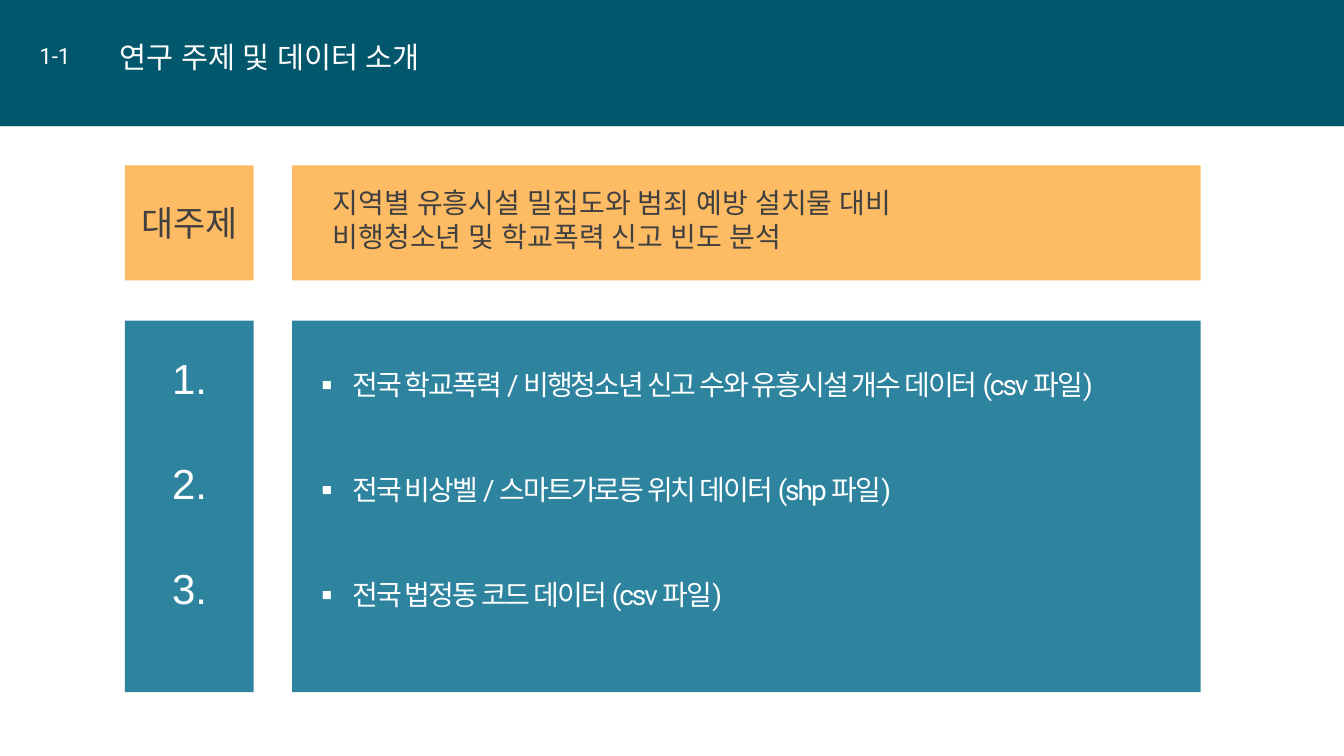
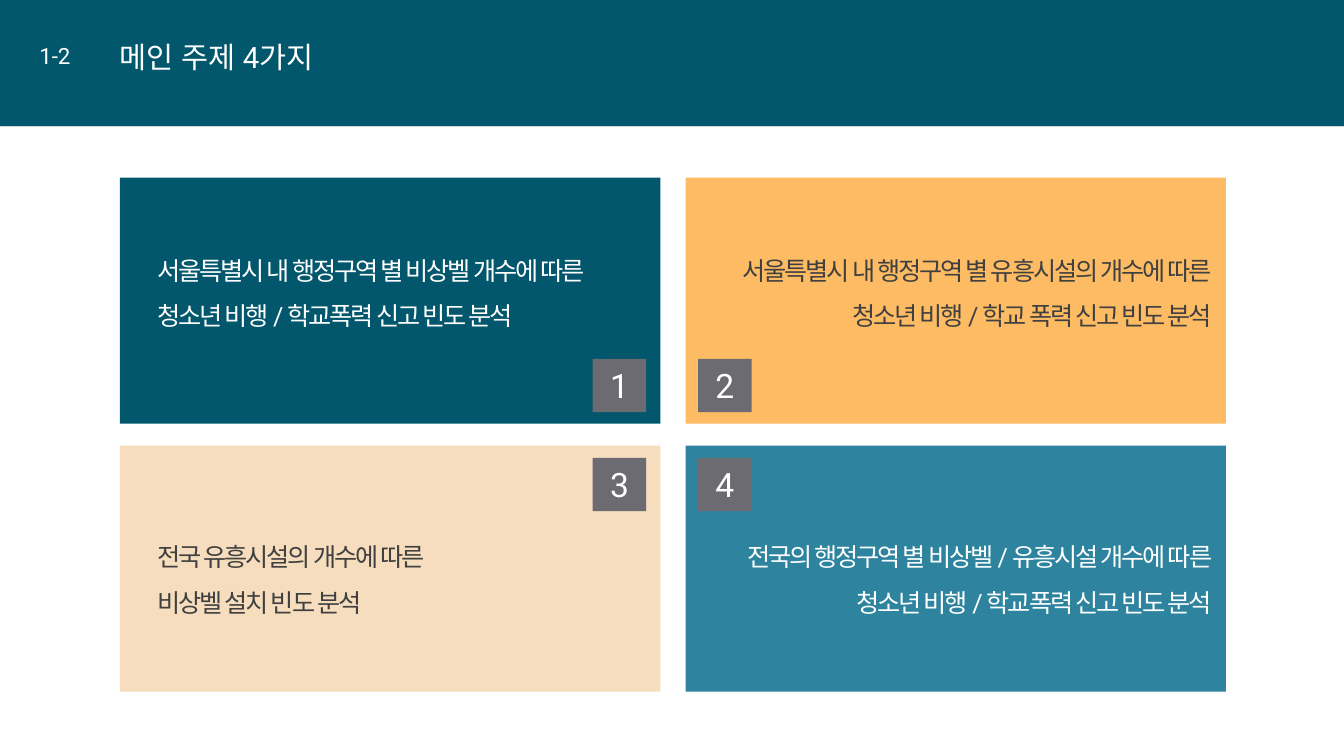
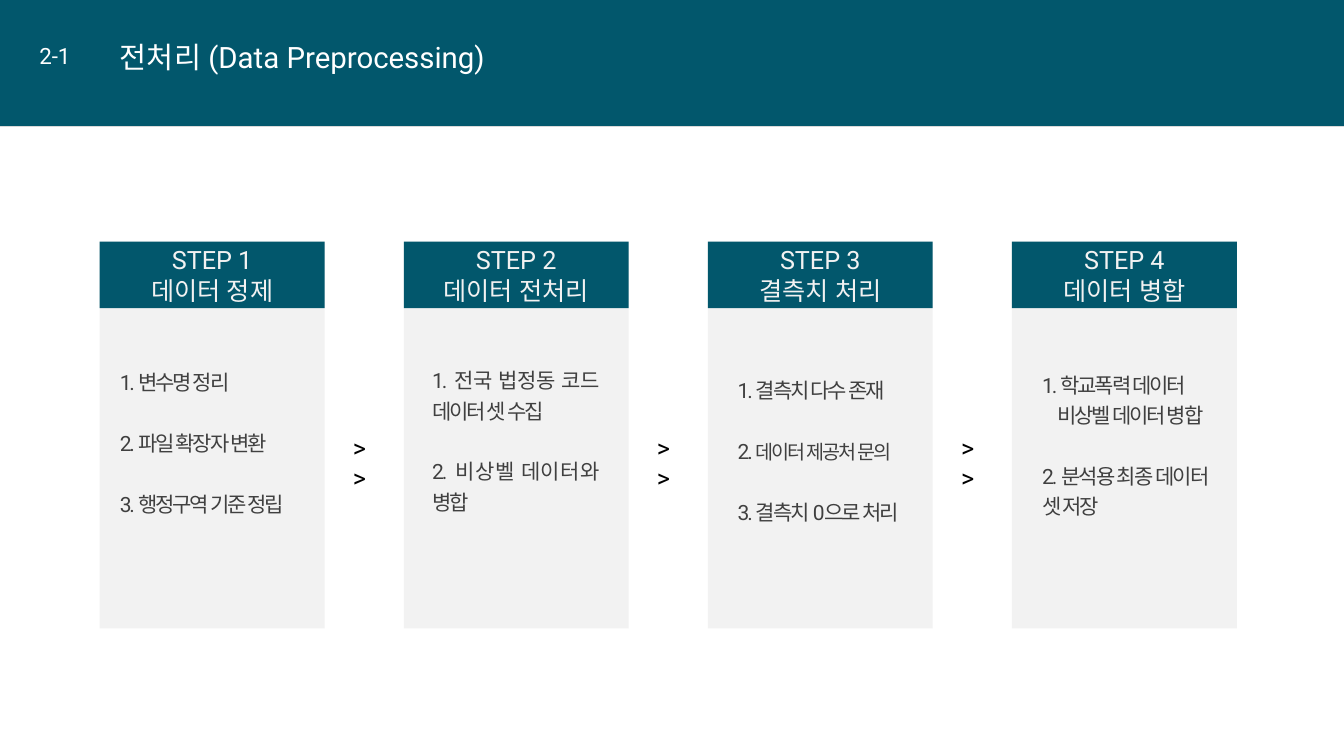
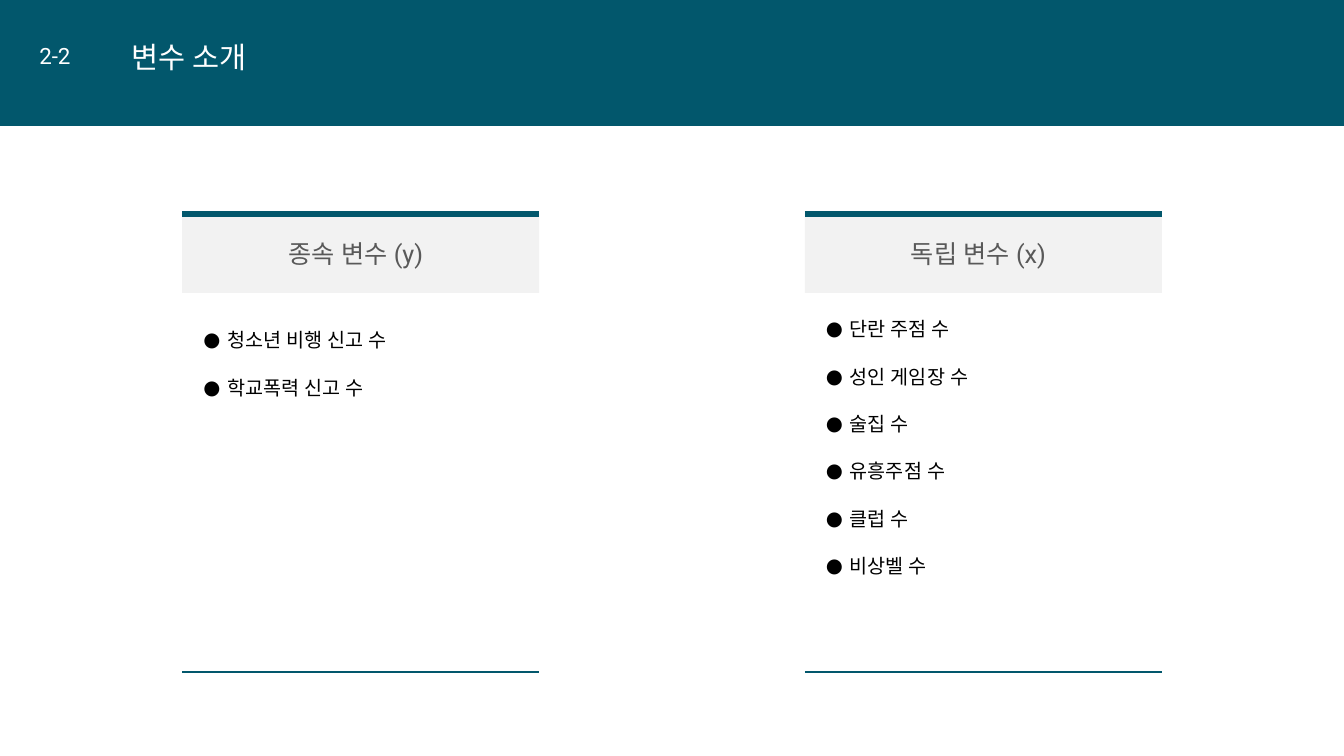
from dataclasses import dataclass

from lxml import etree
from pptx import Presentation
from pptx.dml.color import RGBColor
from pptx.enum.shapes import MSO_CONNECTOR, MSO_SHAPE
from pptx.enum.text import MSO_ANCHOR, MSO_AUTO_SIZE, PP_ALIGN
from pptx.oxml.ns import qn
from pptx.shapes.autoshape import Shape
from pptx.slide import Slide
from pptx.text.text import TextFrame
from pptx.util import Pt

RECTANGLE = MSO_SHAPE.RECTANGLE
STRAIGHT = MSO_CONNECTOR.STRAIGHT
TOP, MIDDLE = MSO_ANCHOR.TOP, MSO_ANCHOR.MIDDLE
NO_AUTOFIT = MSO_AUTO_SIZE.NONE
LEFT, CENTER, RIGHT, JUSTIFY = PP_ALIGN.LEFT, PP_ALIGN.CENTER, PP_ALIGN.RIGHT, PP_ALIGN.JUSTIFY

WHITE = RGBColor(0xFF, 0xFF, 0xFF)
BLACK = RGBColor(0x00, 0x00, 0x00)
DARK_TEAL = RGBColor(0x02, 0x57, 0x6C)
TEAL = RGBColor(0x2E, 0x84, 0x9F)
ORANGE = RGBColor(0xFD, 0xBB, 0x63)
CREAM = RGBColor(0xF5, 0xDD, 0xBD)
BADGE_GRAY = RGBColor(0x6C, 0x6B, 0x71)
PANEL_GRAY = RGBColor(0xF2, 0xF2, 0xF2)
RULE_GRAY = RGBColor(0xD9, 0xD9, 0xD9)
TEXT_GRAY = RGBColor(0x40, 0x40, 0x40)
HEADING_GRAY = RGBColor(0x59, 0x59, 0x59)

SLIDE_WIDTH, SLIDE_HEIGHT = 960, 540
BAND_HEIGHT = 90
TITLE_ONLY = 5


@dataclass(frozen=True)
class Box:
    left: float
    top: float
    width: float
    height: float


@dataclass(frozen=True)
class TextStyle:
    size: float
    color: RGBColor
    align: PP_ALIGN = LEFT
    font: str = "Roboto"
    tracking: float = 0
    line_spacing: float = 1
    gap: float = 0
    bullet: str = ""
    hanging: float = 0


@dataclass(frozen=True)
class Line:
    text: str
    small_tail: str = ""
    indent: float = 0
    joined: bool = False


@dataclass(frozen=True)
class Card:
    column: int
    row: int
    fill: RGBColor
    color: RGBColor
    lines: tuple[str, ...]


@dataclass(frozen=True)
class Step:
    name: str
    body: Box
    lines: tuple[Line, ...]


@dataclass(frozen=True)
class VariableGroup:
    heading: str
    left: float
    list_top: float
    variables: tuple[str, ...]


def write(frame: TextFrame, lines: tuple[Line, ...], style: TextStyle) -> None:
    frame.text = "\n".join(line.text for line in lines)
    for index, (paragraph, line) in enumerate(zip(frame.paragraphs, lines)):
        paragraph.alignment = style.align
        paragraph.line_spacing = style.line_spacing
        paragraph.space_before = Pt(style.gap if index and not line.joined else 0)
        if line.small_tail:
            paragraph.add_run().text = line.small_tail
        for run in paragraph.runs:
            run.font.size = Pt(style.size)
            run.font.name = style.font
            run.font.color.rgb = style.color
            properties = run._r.get_or_add_rPr()
            etree.SubElement(properties, qn("a:ea")).set("typeface", style.font)
            if style.tracking:
                properties.set("spc", str(round(style.tracking * 100)))
        if line.small_tail:
            paragraph.runs[-1].font.size = Pt(style.size - 1)
        properties = paragraph._p.get_or_add_pPr()
        if style.bullet or line.indent:
            properties.set("marL", str(Pt(style.hanging + line.indent)))
            properties.set("indent", str(-Pt(style.hanging)))
        if style.bullet:
            etree.SubElement(properties, qn("a:buFont")).set("typeface", style.font)
            etree.SubElement(properties, qn("a:buChar")).set("char", style.bullet)


def as_lines(*texts: str) -> tuple[Line, ...]:
    return tuple(Line(text) for text in texts)


def add_text(slide: Slide, box: Box, lines: tuple[Line, ...], style: TextStyle) -> None:
    shape = slide.shapes.add_textbox(Pt(box.left), Pt(box.top), Pt(box.width), Pt(box.height))
    shape.text_frame.word_wrap = True
    write(shape.text_frame, lines, style)


def add_tile(slide: Slide, box: Box, fill: RGBColor) -> Shape:
    shape = slide.shapes.add_shape(
        RECTANGLE, Pt(box.left), Pt(box.top), Pt(box.width), Pt(box.height)
    )
    shape.shadow.inherit = False
    shape.fill.solid()
    shape.fill.fore_color.rgb = fill
    shape.line.fill.background()
    return shape


def add_label_tile(
    slide: Slide,
    box: Box,
    fill: RGBColor,
    lines: tuple[Line, ...],
    style: TextStyle,
    right_inset: float = 0,
) -> None:
    frame = add_tile(slide, box, fill).text_frame
    frame.margin_left = frame.margin_top = frame.margin_bottom = 0
    frame.margin_right = Pt(right_inset)
    frame.vertical_anchor = MIDDLE
    write(frame, lines, style)


def add_rule(
    slide: Slide, left: float, top: float, width: float, color: RGBColor, weight: float
) -> None:
    rule = slide.shapes.add_connector(STRAIGHT, Pt(left), Pt(top), Pt(left + width), Pt(top))
    rule.line.color.rgb = color
    rule.line.width = Pt(weight)
    etree.SubElement(rule.element.find(qn("p:spPr")), qn("a:effectLst"))


def add_titled_slide(
    presentation: Presentation,
    section: str,
    title_text: str,
    title_left: float = 78.5,
    ruled: bool = True,
) -> Slide:
    slide = presentation.slides.add_slide(presentation.slide_layouts[TITLE_ONLY])
    title = slide.shapes.title
    band = add_tile(slide, Box(0, 0, SLIDE_WIDTH, BAND_HEIGHT), DARK_TEAL)
    title.element.addprevious(band.element)
    title.left, title.top = Pt(title_left), Pt(24)
    title.width, title.height = Pt(600), Pt(32.5)
    title.text_frame.word_wrap = True
    title.text_frame.auto_size = NO_AUTOFIT
    title.text_frame.vertical_anchor = TOP
    write(title.text_frame, as_lines(title_text), TextStyle(21, WHITE))
    if ruled:
        add_rule(slide, 0, BAND_HEIGHT, SLIDE_WIDTH, RULE_GRAY, 0.5)
    add_text(slide, Box(21, 26.6, 50, 26.6), as_lines(section), TextStyle(16, WHITE))
    return slide


def build_topic_slide(presentation: Presentation) -> None:
    slide = add_titled_slide(presentation, "1-1", "연구 주제 및 데이터 소개")
    label_left, label_width = 89.3, 92
    content_left, content_width = 208.7, 649
    topic_top, topic_height = 118.2, 82
    data_top, data_height = 229, 265.5
    add_label_tile(
        slide,
        Box(label_left, topic_top, label_width, topic_height),
        ORANGE,
        as_lines("대주제"),
        TextStyle(25, TEXT_GRAY, CENTER),
    )
    add_tile(slide, Box(content_left, topic_top, content_width, topic_height), ORANGE)
    add_text(
        slide,
        Box(230.4, 129, 600, 60),
        as_lines(
            "지역별 유흥시설 밀집도와 범죄 예방 설치물 대비",
            "비행청소년 및 학교폭력 신고 빈도 분석",
        ),
        TextStyle(20, TEXT_GRAY),
    )
    add_tile(slide, Box(label_left, data_top, label_width, data_height), TEAL)
    add_tile(slide, Box(content_left, data_top, content_width, data_height), TEAL)
    number_style = TextStyle(30, WHITE, CENTER, font="Arial")
    data_style = TextStyle(
        20, WHITE, tracking=-1.5, line_spacing=1.5, bullet="▪", hanging=22.3
    )
    data_sets = (
        "전국 학교폭력 / 비행청소년 신고 수와 유흥시설 개수 데이터 (csv 파일)",
        "전국 비상벨 / 스마트가로등 위치 데이터 (shp 파일)",
        "전국 법정동 코드 데이터 (csv 파일)",
    )
    for index, data_set in enumerate(data_sets):
        top = 247 + index * 75
        add_text(slide, Box(106, top + 1, 59, 44), as_lines(f"{index + 1}."), number_style)
        add_text(slide, Box(222.5, top, 634, 40), as_lines(data_set), data_style)


def build_subject_slide(presentation: Presentation) -> None:
    slide = add_titled_slide(presentation, "1-2", "메인 주제 4가지")
    cards = (
        Card(0, 0, DARK_TEAL, WHITE, (
            "서울특별시 내 행정구역 별 비상벨 개수에 따른",
            "청소년 비행 / 학교폭력 신고 빈도 분석",
        )),
        Card(1, 0, ORANGE, TEXT_GRAY, (
            "서울특별시 내 행정구역 별 유흥시설의 개수에 따른",
            "청소년 비행 / 학교 폭력 신고 빈도 분석",
        )),
        Card(0, 1, CREAM, TEXT_GRAY, (
            "전국 유흥시설의 개수에 따른",
            "비상벨 설치 빈도 분석",
        )),
        Card(1, 1, TEAL, WHITE, (
            "전국의 행정구역 별 비상벨 / 유흥시설 개수에 따른",
            "청소년 비행 / 학교폭력 신고 빈도 분석",
        )),
    )
    badge_size = 38.2
    badge_style = TextStyle(24, WHITE, CENTER)
    for number, card in enumerate(cards, start=1):
        card_box = Box(85.7 + card.column * 404, 126.9 + card.row * 191.5, 386, 175.7)
        add_tile(slide, card_box, card.fill)
        badge_box = Box(
            (423.4, 498.7)[card.column], (256.3, 327)[card.row], badge_size, badge_size
        )
        add_label_tile(slide, badge_box, BADGE_GRAY, as_lines(str(number)), badge_style)
        text_style = TextStyle(
            18, card.color, (LEFT, RIGHT)[card.column], tracking=-1.5, line_spacing=1.5
        )
        text_box = Box((105.3, 488)[card.column], 167.8 + card.row * 204.8, 385, 69)
        add_text(slide, text_box, as_lines(*card.lines), text_style)


def build_step_slide(presentation: Presentation) -> None:
    slide = add_titled_slide(presentation, "2-1", "전처리 (Data Preprocessing)")
    steps = (
        Step("데이터 정제", Box(78.5, 257, 162.7, 158), (
            Line("1. 변수명 정리"),
            Line("2. 파일 확장자 변환"),
            Line("3. 행정구역 기준 정립"),
        )),
        Step("데이터 전처리", Box(301.7, 255.6, 132.5, 158), (
            Line("1. 전국 법정동 코드 데이터 셋 수집"),
            Line("2. 비상벨 데이터와 병합"),
        )),
        Step("결측치 처리", Box(519.8, 262.8, 132.5, 114), (
            Line("1. 결측치 다수 존재"),
            Line("2. ", small_tail="데이터 제공처 문의"),
            Line("3. 결측치 0으로 처리"),
        )),
        Step("데이터 병합", Box(737.3, 259, 132.5, 140), (
            Line("1. 학교폭력 데이터"),
            Line("비상벨 데이터 병합", indent=11, joined=True),
            Line("2. 분석용 최종 데이터 셋 저장"),
        )),
    )
    step_pitch, step_top, step_width = 217.2, 172.6, 160.7
    heading_style = TextStyle(18, PANEL_GRAY, CENTER)
    body_style = TextStyle(15, TEXT_GRAY, JUSTIFY, tracking=-1.5, line_spacing=1.2, gap=21.8)
    for index, step in enumerate(steps):
        left = 71.2 + index * step_pitch
        add_tile(slide, Box(left, step_top, step_width, 276.2), PANEL_GRAY)
        add_label_tile(
            slide,
            Box(left, step_top, step_width, 47.5),
            DARK_TEAL,
            as_lines(f"STEP {index + 1}", step.name),
            heading_style,
        )
        add_text(slide, step.body, step.lines, body_style)
        if index < len(steps) - 1:
            arrow_box = Box(245 + index * step_pitch, 305.3, 28.8, 29)
            add_text(slide, arrow_box, as_lines(">>"), TextStyle(18, BLACK))


def build_variable_slide(presentation: Presentation) -> None:
    slide = add_titled_slide(presentation, "2-2", "변수 소개", title_left=86.4, ruled=False)
    groups = (
        VariableGroup("종속 변수 (y)", 130.2, 231, ("청소년 비행 신고 수", "학교폭력 신고 수")),
        VariableGroup("독립 변수 (x)", 574.9, 223, (
            "단란 주점 수",
            "성인 게임장 수",
            "술집 수",
            "유흥주점 수",
            "클럽 수",
            "비상벨 수",
        )),
    )
    group_width = 255
    heading_style = TextStyle(18, HEADING_GRAY, CENTER)
    list_style = TextStyle(14, BLACK, gap=17, bullet="●", hanging=17)
    for group in groups:
        add_label_tile(
            slide,
            Box(group.left, 152.6, group_width, 56.6),
            PANEL_GRAY,
            as_lines(group.heading),
            heading_style,
            right_inset=7,
        )
        add_rule(slide, group.left, 153, group_width, DARK_TEAL, 4.5)
        add_rule(slide, group.left, 480, group_width, DARK_TEAL, 1.5)
        list_box = Box(group.left + 8, group.list_top, 247, 34 * len(group.variables))
        add_text(slide, list_box, as_lines(*group.variables), list_style)


def main() -> None:
    presentation = Presentation()
    presentation.slide_width = Pt(SLIDE_WIDTH)
    presentation.slide_height = Pt(SLIDE_HEIGHT)
    build_topic_slide(presentation)
    build_subject_slide(presentation)
    build_step_slide(presentation)
    build_variable_slide(presentation)
    presentation.save("out.pptx")


if __name__ == "__main__":
    main()
